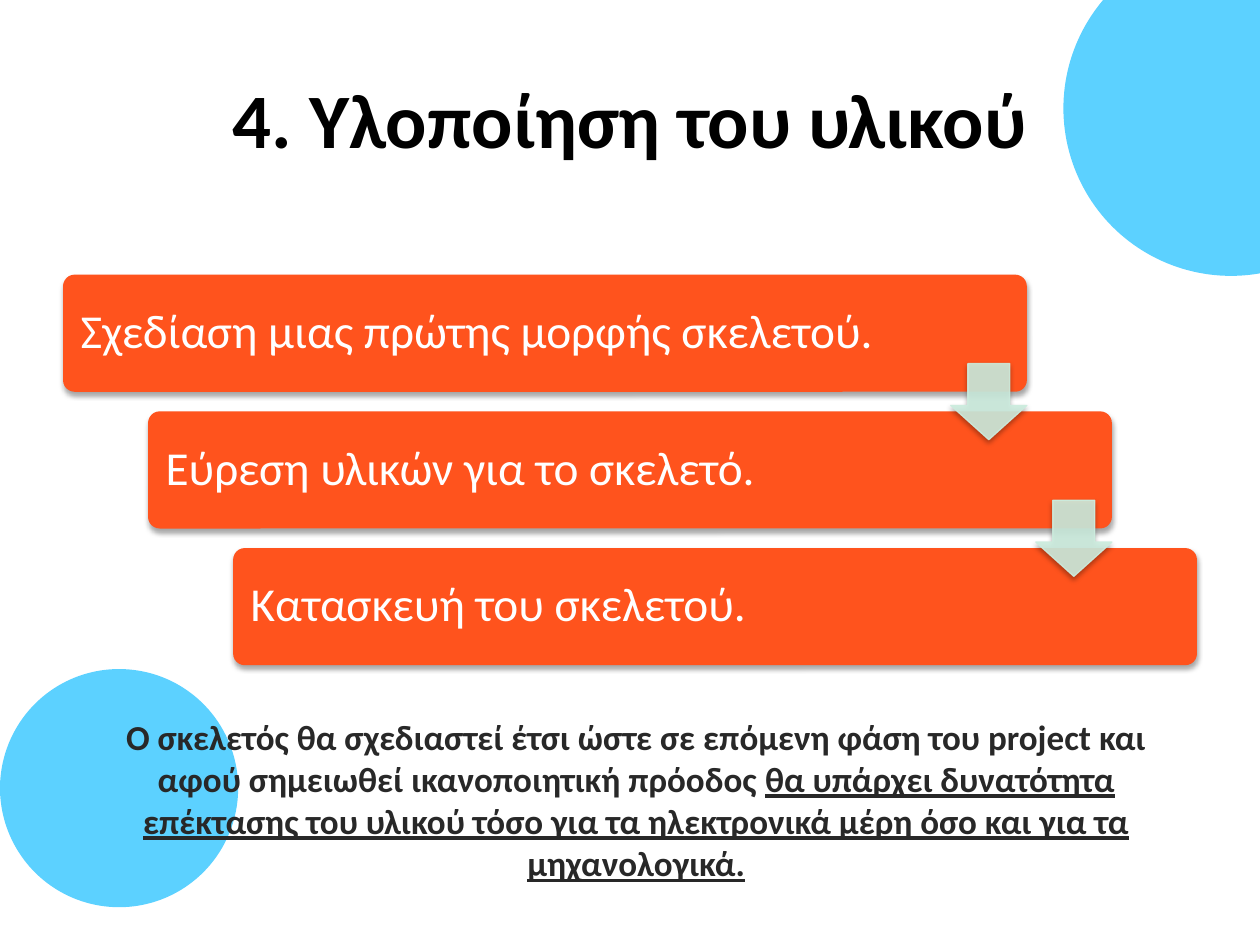
import collections

import pptx
import pptx.dml.color
import pptx.enum.shapes
import pptx.enum.text
import pptx.oxml
import pptx.oxml.ns
import pptx.util

Box = collections.namedtuple("Box", "left top width height")
SHAPES = pptx.enum.shapes.MSO_SHAPE
ALIGN = pptx.enum.text.PP_ALIGN
ANCHOR = pptx.enum.text.MSO_ANCHOR
FONT = "Calibri"
COLORS = {
    "circle": "00B8FF",
    "bar": "FF531D",
    "arrow": "CCECDE",
    "title": "000000",
    "step": "FFFFFF",
    "note": "282828",
}
SLIDE = Box(0, 0, 10, 7.5)
STEPS = [
    ("Σχεδίαση μιας πρώτης μορφής σκελετού.", 0.87),
    ("Εύρεση υλικών για το σκελετό.", 0.83),
    ("Κατασκευή του σκελετού.", 0.83),
]
NOTE = [
    ("Ο σκελετός θα σχεδιαστεί έτσι ώστε σε επόμενη φάση του project και "
     "αφού σημειωθεί ικανοποιητική πρόοδος ", False),
    ("θα υπάρχει δυνατότητα επέκτασης του υλικού τόσο για τα ηλεκτρονικά "
     "μέρη όσο και για τα μηχανολογικά.", True),
]


def share(box, left, top, width, height):
    return Box(box.left + left * box.width, box.top + top * box.height,
               width * box.width, height * box.height)


def inches(box):
    return [pptx.util.Inches(length) for length in box]


def color(name):
    return pptx.dml.color.RGBColor.from_string(COLORS[name])


def set_opacity(fill_parent, percent):
    tag = pptx.oxml.ns.qn("a:srgbClr")
    for element in fill_parent.iter(tag):
        alpha = element.makeelement(pptx.oxml.ns.qn("a:alpha"), {"val": str(percent * 1000)})
        element.append(alpha)


def add_shadow(shape):
    effects = shape._element.spPr.find(pptx.oxml.ns.qn("a:effectLst"))
    effects.append(pptx.oxml.parse_xml(
        f'<a:outerShdw {pptx.oxml.ns.nsdecls("a")} blurRad="{pptx.util.Pt(3.1)}" '
        f'dist="{pptx.util.Pt(1.8)}" dir="5400000" rotWithShape="0">'
        '<a:srgbClr val="000000"><a:alpha val="35000"/></a:srgbClr></a:outerShdw>'))


def add_filled(shapes, kind, box, name, adjustments=(), opacity=100, outlined=False):
    shape = shapes.add_shape(kind, *inches(box))
    for index, value in enumerate(adjustments):
        shape.adjustments[index] = value
    shape.fill.solid()
    shape.fill.fore_color.rgb = color(name)
    if outlined:
        shape.line.color.rgb = color(name)
        shape.line.width = pptx.util.Pt(0.75)
    else:
        shape.line.fill.background()
    shape.shadow.inherit = False
    if opacity < 100:
        set_opacity(shape._element.spPr, opacity)
    return shape


def add_text(shapes, box, runs, size, name, bold=False, align=ALIGN.LEFT, anchor=ANCHOR.MIDDLE):
    frame = shapes.add_textbox(*inches(box)).text_frame
    frame.word_wrap = True
    frame.vertical_anchor = anchor
    paragraph = frame.paragraphs[0]
    paragraph.alignment = align
    for text, underlined in runs:
        run = paragraph.add_run()
        run.text = text
        run.font.name = FONT
        run.font.size = pptx.util.Pt(size)
        run.font.bold = bold
        run.font.color.rgb = color(name)
        if underlined:
            run.font.underline = True
    return frame


def add_circle(slide, box):
    add_filled(slide.shapes, SHAPES.OVAL, box, "circle", opacity=64)


def add_title(slide, box):
    add_text(slide.shapes, box, [("4. Υλοποίηση του υλικού", False)], 44, "title",
             bold=True, align=ALIGN.CENTER)


def add_step(shapes, bar, text, text_share):
    shape = add_filled(shapes, SHAPES.ROUNDED_RECTANGLE, bar, "bar", [0.1])
    add_shadow(shape)
    inset = 0.03
    label = Box(bar.left + inset, bar.top + inset, text_share * bar.width, bar.height - 2 * inset)
    frame = add_text(shapes, label, [(text, False)], 27, "step")
    frame.margin_left = frame.margin_right = pptx.util.Inches(0.11)
    frame.margin_top = frame.margin_bottom = pptx.util.Inches(0.11)
    frame.paragraphs[0].line_spacing = 0.9


def add_arrow(shapes, upper, lower):
    size = 0.65 * upper.height
    middle = (upper.top + upper.height + lower.top) / 2
    box = Box(upper.left + upper.width - size, middle - size / 2, size, size)
    arrow = add_filled(shapes, SHAPES.DOWN_ARROW, box, "arrow", [0.55, 0.45], 90, True)
    add_shadow(arrow)


def add_cascade(slide, box):
    shapes = slide.shapes.add_group_shape().shapes
    bars = [share(box, 0.075 * row, 0.35 * row, 0.85, 0.3) for row in range(len(STEPS))]
    for bar, (text, text_share) in zip(bars, STEPS):
        add_step(shapes, bar, text, text_share)
    for upper, lower in zip(bars, bars[1:]):
        add_arrow(shapes, upper, lower)


def add_note(slide, box):
    frame = add_text(slide.shapes, box, NOTE, 20, "note", bold=True,
                     align=ALIGN.CENTER, anchor=ANCHOR.TOP)
    frame.auto_size = pptx.enum.text.MSO_AUTO_SIZE.SHAPE_TO_FIT_TEXT
    frame.paragraphs[0].space_before = pptx.util.Pt(7.5)


def main():
    presentation = pptx.Presentation()
    presentation.slide_width = pptx.util.Inches(SLIDE.width)
    presentation.slide_height = pptx.util.Inches(SLIDE.height)
    slide = presentation.slides.add_slide(presentation.slide_layouts[6])
    add_circle(slide, Box(0, 5.31, 1.89, 1.89))
    add_title(slide, share(SLIDE, 0.05, 0.04, 0.9, 0.17))
    add_cascade(slide, Box(0.5, 2.18, 9, 3.1))
    add_note(slide, Box(0.55, 5.63, 9, 1.45))
    add_circle(slide, Box(8.44, -0.47, 2.66, 2.66))
    presentation.save("out.pptx")


if __name__ == "__main__":
    main()
